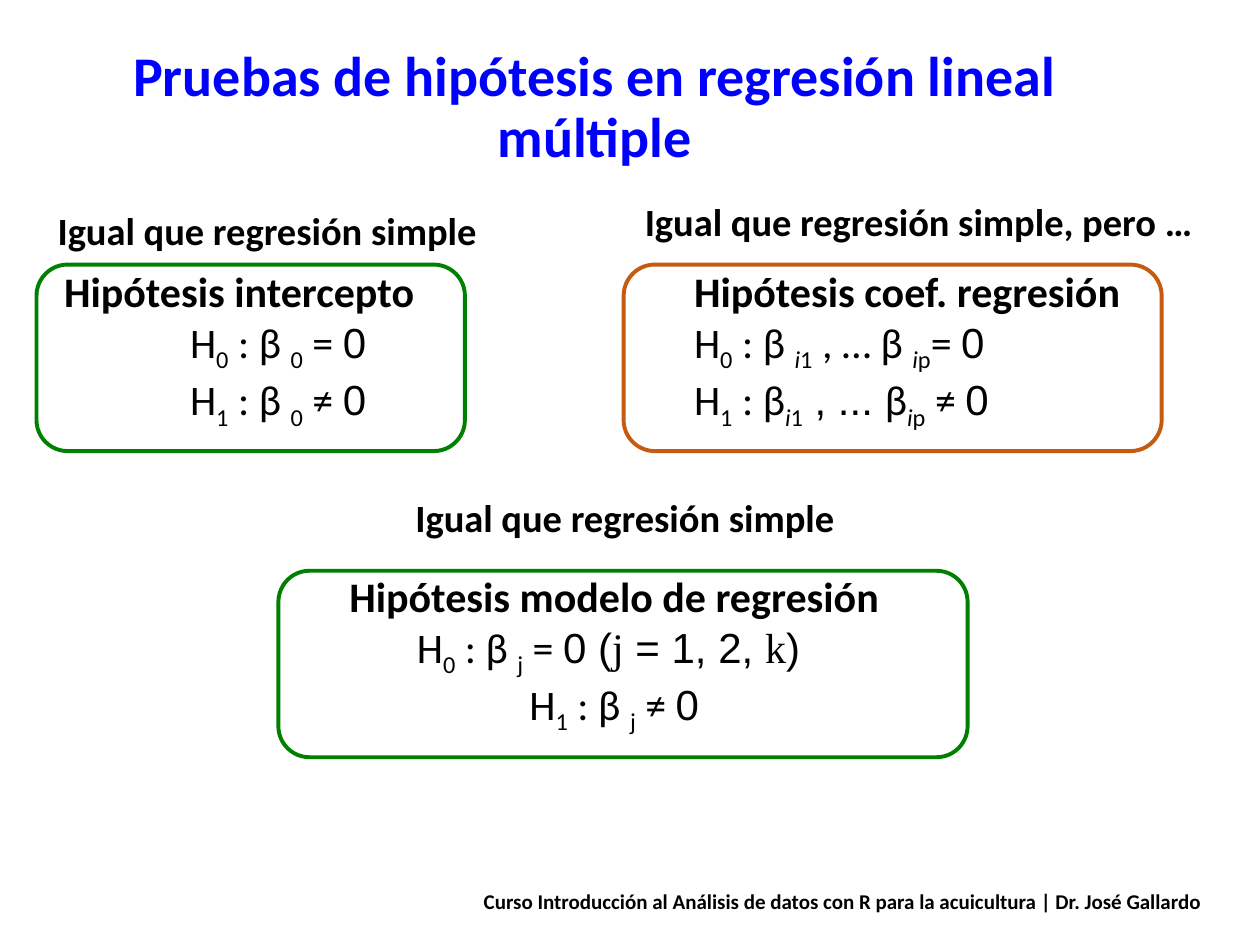
from lxml import etree
from pptx import Presentation
from pptx.dml.color import RGBColor
from pptx.enum.shapes import MSO_SHAPE
from pptx.enum.text import MSO_ANCHOR, MSO_AUTO_SIZE, PP_ALIGN
from pptx.oxml.ns import qn
from pptx.util import Inches, Pt

ROUNDED = MSO_SHAPE.ROUNDED_RECTANGLE
TOP, MIDDLE = MSO_ANCHOR.TOP, MSO_ANCHOR.MIDDLE
GROW = MSO_AUTO_SIZE.SHAPE_TO_FIT_TEXT
LEFT, CENTER, JUSTIFY = PP_ALIGN.LEFT, PP_ALIGN.CENTER, PP_ALIGN.JUSTIFY

COLORS = {"title": "0000FF", "text": "000000",
          "same": "008000", "changed": "C55A11"}

# Grid of 100 columns by 75 rows
COLUMNS, ROWS = 100, 75
SLIDE_W, SLIDE_H = Inches(10), Inches(7.5)

# Run styles used inside the hypotheses
STYLES = {
    "heading": {"bold": True},
    "plain": {},
    "sub": {"subscript": True},
    "index": {"subscript": True, "italic": True},
    "arial": {"font": "Arial"},
    "times": {"font": "Times New Roman"},
}


def place(column, row, columns, rows):
    """Turn grid units into left, top, width and height."""
    cell_w, cell_h = SLIDE_W / COLUMNS, SLIDE_H / ROWS
    return (round(column * cell_w), round(row * cell_h),
            round(columns * cell_w), round(rows * cell_h))


def add_run(paragraph, text, size=24, color="text", font="Calibri",
            bold=False, italic=False, subscript=False):
    run = paragraph.add_run()
    run.text = text
    run.font.name = font
    run.font.size = Pt(size)
    run.font.bold = bold
    run.font.italic = italic
    run.font.color.rgb = RGBColor.from_string(COLORS[color])
    if subscript:
        run.font._element.set("baseline", "-25000")


def add_tab_stops(paragraph, count):
    """Set tab stops one inch apart."""
    stops = etree.SubElement(paragraph._p.get_or_add_pPr(), qn("a:tabLst"))
    for inch in range(1, count + 1):
        etree.SubElement(stops, qn("a:tab"), pos=str(Inches(inch)), algn="l")


def add_text(slide, cells, lines, align=LEFT, anchor=TOP, wrap=True,
             spacing=None, tab_stops=0, **run_format):
    """Each line is a list of (text, style) pieces."""
    frame = slide.shapes.add_textbox(*place(*cells)).text_frame
    frame.word_wrap = wrap
    frame.auto_size = GROW
    frame.vertical_anchor = anchor
    for number, pieces in enumerate(lines):
        paragraph = frame.add_paragraph() if number else frame.paragraphs[0]
        paragraph.alignment = align
        paragraph.line_spacing = spacing
        if tab_stops:
            add_tab_stops(paragraph, tab_stops)
        for text, style in pieces:
            add_run(paragraph, text, **{**run_format, **STYLES[style]})


def add_frame(slide, cells, color):
    frame = slide.shapes.add_shape(ROUNDED, *place(*cells))
    frame.shadow.inherit = False
    frame.fill.background()
    frame.line.color.rgb = RGBColor.from_string(COLORS[color])
    frame.line.width = Pt(2.25)


def hypothesis(number, beta=" : β "):
    return [("H", "plain"), (number, "sub"), (beta, "plain")]


def coefficient(last):
    return [("i", "index"), (last, "sub")]


def intercept(number, relation):
    return [("\t", "plain"), *hypothesis(number), ("0", "sub"),
            (relation, "plain"), ("0\t\t\t", "arial")]


def main():
    prs = Presentation()
    prs.slide_width, prs.slide_height = SLIDE_W, SLIDE_H
    slide = prs.slides.add_slide(prs.slide_layouts[6])

    # Footer and title
    add_text(slide, (37.4, 70, 61.2, 3), [[(
        "Curso Introducción al Análisis de datos con R para la acuicultura"
        " | Dr. José Gallardo", "heading")]], size=12)
    add_text(slide, (4.1, 3.25, 86.2, 10.8),
             [[("Pruebas de hipótesis en regresión lineal múltiple", "heading")]],
             align=CENTER, anchor=MIDDLE, spacing=0.9, size=32, color="title")

    # Intercept and coefficients, side by side on tab stops
    add_text(slide, (4.1, 20.6, 90.8, 13.1), [
        [("Hipótesis intercepto\t\t\tHipótesis coef. regresión", "heading")],
        [*intercept("0", " = "), *hypothesis("0"), *coefficient("1"),
         (" , … β ", "plain"), *coefficient("p"),
         ("= ", "plain"), ("0 ", "arial")],
        [*intercept("1", " ≠ "), *hypothesis("1", " : β"), *coefficient("1"),
         (" , ... ", "arial"), ("β", "plain"), *coefficient("p"),
         (" ≠ ", "plain"), ("0", "arial")],
    ], align=JUSTIFY, tab_stops=5)

    # Regression model
    add_text(slide, (20.7, 45.3, 56.1, 13.1), [
        [("Hipótesis modelo de regresión", "heading")],
        [*hypothesis("0"), ("j", "sub"), (" = ", "plain"), ("0 (", "arial"),
         ("j", "times"), (" = 1, 2, ", "arial"), ("k", "times"),
         (") ", "arial")],
        [*hypothesis("1"), ("j", "sub"), (" ≠ ", "plain"), ("0", "arial")],
    ], align=CENTER, anchor=MIDDLE)

    # Frames around the hypotheses
    for column, row, columns, color in [(2.9, 21, 34, "same"),
                                        (22.1, 45.3, 54.7, "same"),
                                        (49.5, 21, 42.7, "changed")]:
        add_frame(slide, (column, row, columns, 14.8), color)

    # Comparison with simple regression
    for column, row, columns, ending in [(2.9, 15.9, 36.4, ""),
                                         (31.3, 38.7, 36.4, ""),
                                         (49.5, 15.2, 47.1, ", pero …")]:
        add_text(slide, (column, row, columns, 4.7),
                 [[(" Igual que regresión simple" + ending, "heading")]],
                 wrap=False, size=22)

    prs.save("out.pptx")


if __name__ == "__main__":
    main()
